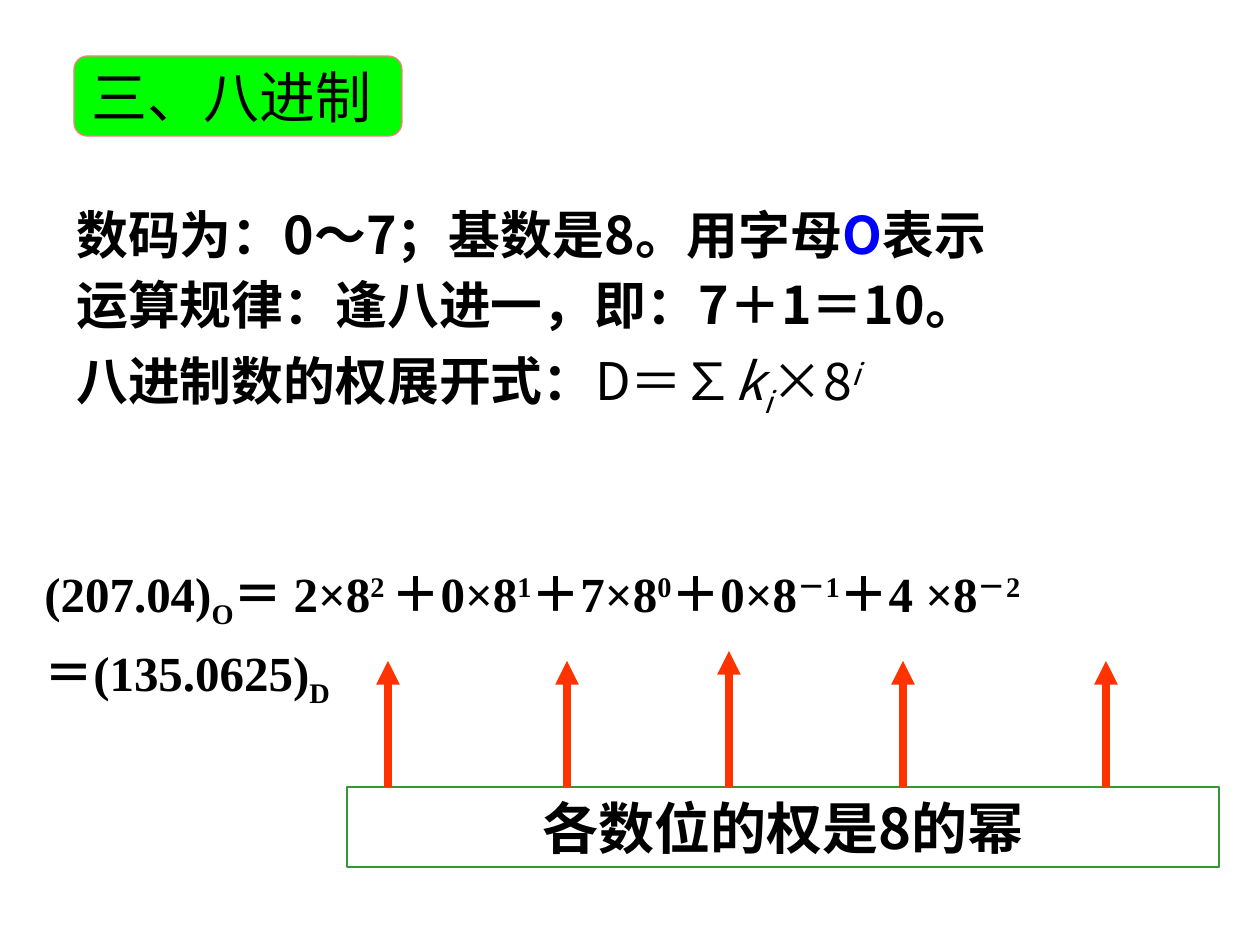
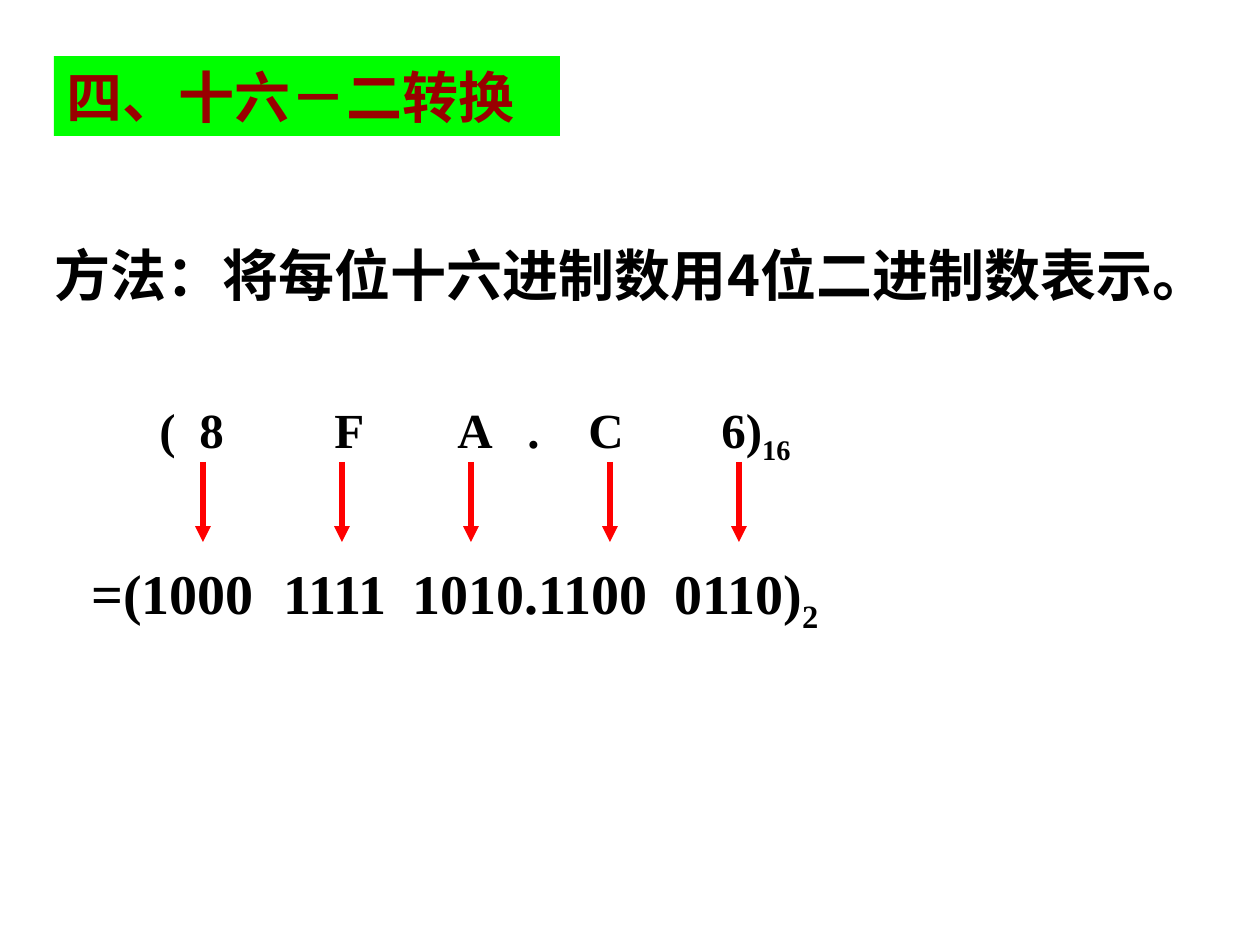
from lxml.etree import SubElement
from pptx import Presentation
from pptx.dml.color import RGBColor
from pptx.enum.shapes import MSO_CONNECTOR, MSO_SHAPE
from pptx.enum.text import MSO_ANCHOR, PP_ALIGN
from pptx.oxml.ns import qn
from pptx.util import Emu, Pt

EMU_PER_PX = 914400 / 126

BLACK = RGBColor(0x00, 0x00, 0x00)
BLUE = RGBColor(0x00, 0x00, 0xFF)
TITLE_GREEN = RGBColor(0x00, 0xFF, 0x00)
TITLE_RED = RGBColor(0x99, 0x00, 0x00)
TITLE_EDGE = RGBColor(0xFF, 0x7C, 0x80)
NOTE_GREEN = RGBColor(0x33, 0x99, 0x33)
WEIGHT_ORANGE = RGBColor(0xFF, 0x33, 0x00)
DIGIT_RED = RGBColor(0xFF, 0x00, 0x00)

CJK = "Noto Sans CJK SC"
SERIF = "Times New Roman"
SANS = "DejaVu Sans"


def px(length):
    return Emu(round(length * EMU_PER_PX))


def sub(text, **style):
    return text, dict(baseline=-25, **style)


def sup(text, **style):
    return text, dict(baseline=30, **style)


def add_run(paragraph, text, size, font=CJK, color=BLACK, bold=True,
            italic=False, baseline=0):
    run = paragraph.add_run()
    run.text = text
    run.font.size = Pt(size)
    run.font.bold = bold
    run.font.italic = italic
    run.font.color.rgb = color
    run.font.name = font
    properties = run.font._element
    SubElement(properties, qn("a:ea")).set("typeface", CJK)
    if baseline:
        properties.set("baseline", str(baseline * 1000))


def add_tab_stops(paragraph, stops):
    tab_list = SubElement(paragraph._p.get_or_add_pPr(), qn("a:tabLst"))
    for stop in stops:
        SubElement(tab_list, qn("a:tab"), pos=str(px(stop)), algn="l")


def write(shape, lines, gap=0, spacing=None, align=PP_ALIGN.LEFT, stops=(),
          **style):
    """Fill a shape with lines of runs; a run is a string or (string, style)."""
    frame = shape.text_frame
    frame.word_wrap = True
    frame.vertical_anchor = MSO_ANCHOR.TOP
    for index, line in enumerate(lines):
        paragraph = frame.add_paragraph() if index else frame.paragraphs[0]
        paragraph.alignment = align
        if spacing:
            paragraph.line_spacing = spacing
        if index:
            paragraph.space_before = Pt(gap)
        if stops:
            add_tab_stops(paragraph, stops)
        for piece in line:
            text, changes = (piece, {}) if isinstance(piece, str) else piece
            add_run(paragraph, text, **{**style, **changes})


def add_text(slide, left, top, width, height, lines, **style):
    box = slide.shapes.add_textbox(px(left), px(top), px(width), px(height))
    write(box, lines, **style)


def add_panel(slide, left, top, width, height, line, kind=MSO_SHAPE.RECTANGLE,
              fill=None, edge=None, edge_width=1, **style):
    panel = slide.shapes.add_shape(kind, px(left), px(top), px(width), px(height))
    panel.shadow.inherit = False
    if fill is None:
        panel.fill.background()
    else:
        panel.fill.solid()
        panel.fill.fore_color.rgb = fill
    if edge is None:
        panel.line.fill.background()
    else:
        panel.line.color.rgb = edge
        panel.line.width = Pt(edge_width)
    write(panel, [line], size=32, **style)
    return panel


def add_title(slide, left, width, line, **style):
    return add_panel(slide, left, 56, width, 80, line, fill=TITLE_GREEN, **style)


def add_arrow(slide, x, start, end, color, width):
    arrow = slide.shapes.add_connector(
        MSO_CONNECTOR.STRAIGHT, px(x), px(start), px(x), px(end))
    arrow.line.color.rgb = color
    arrow.line.width = Pt(width)
    SubElement(arrow.line._get_or_add_ln(), qn("a:tailEnd"), type="triangle")
    SubElement(arrow._element.spPr, qn("a:effectLst"))


def build_octal(slide):
    formula = dict(bold=False)
    slanted = dict(bold=False, italic=True)
    add_text(slide, 64, 204, 1081, 242, [
        ["数码为：0～7；基数是8。用字母", ("O", dict(color=BLUE)), "表示"],
        ["运算规律：逢八进一，即：7＋1＝10。"],
        ["八进制数的权展开式：", ("D＝∑", formula), ("k", slanted),
         sub("i", **slanted), ("×8", formula), sup("i", **slanted)],
    ], size=29.6, gap=8, spacing=0.9)

    title = add_title(slide, 74, 328, ["三、八进制"], kind=MSO_SHAPE.ROUNDED_RECTANGLE,
                      edge=TITLE_EDGE, edge_width=0.75, font=SANS, bold=False,
                      align=PP_ALIGN.CENTER)
    title.text_frame.margin_left = 0
    title.text_frame.word_wrap = False
    title.text_frame.vertical_anchor = MSO_ANCHOR.MIDDLE

    add_text(slide, 32, 557, 1228, 159, [
        ["(207.04)", sub("O"), "＝ 2×8", sup("2 "), "＋0×8", sup("1"),
         "＋7×8", sup("0"), "＋0×8", sup("－1"), "＋4 ×8", sup("－2")],
        ["＝(135.0625)", sub("D")],
    ], size=28, font=SERIF, gap=7)

    add_panel(slide, 347, 787, 872, 80, ["各数位的权是8的幂"],
              edge=NOTE_GREEN, align=PP_ALIGN.CENTER)
    for x, tip in ((388, 661), (567, 661), (729, 651), (903, 661), (1106, 661)):
        add_arrow(slide, x, 787, tip, WEIGHT_ORANGE, 4.5)


def build_hex_to_binary(slide):
    serif = dict(font=SERIF)
    add_text(slide, 79, 552, 1181, 89,
             [["=(1000\t1111\t1010.1100\t0110)", sub("2")]],
             size=32, font=SERIF, stops=(192, 321, 583))
    add_title(slide, 54, 506,
              ["四、", ("十六", serif), "－", ("二", serif), "转换"],
              color=TITLE_RED)
    add_text(slide, 42, 234, 1218, 81,
             [["方法：将每位十六进制数用4位二进制数表示。"]], size=32)
    add_text(slide, 147, 393, 664, 79,
             [["(\t8\tF\tA\t.\tC\t6)", sub("16")]],
             size=28, font=SERIF, stops=(40, 175, 298, 368, 429, 562))
    for x in (203, 342, 471, 610, 739):
        add_arrow(slide, x, 462, 542, DIGIT_RED, 3)


def main():
    deck = Presentation()
    deck.slide_width, deck.slide_height = px(1260), px(945)
    blank = deck.slide_layouts[6]
    for build in (build_octal, build_hex_to_binary):
        build(deck.slides.add_slide(blank))
    deck.save("out.pptx")


if __name__ == "__main__":
    main()
